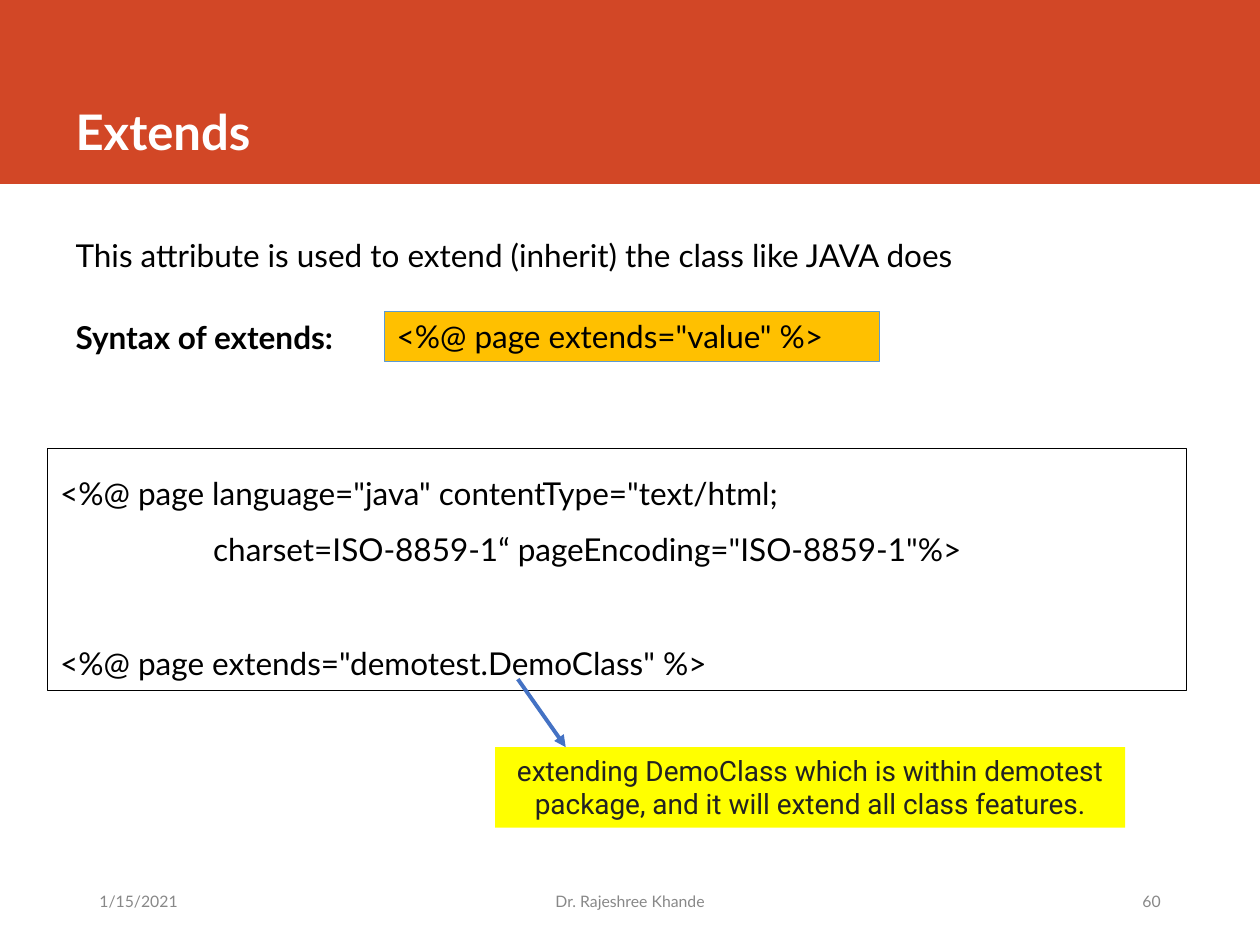
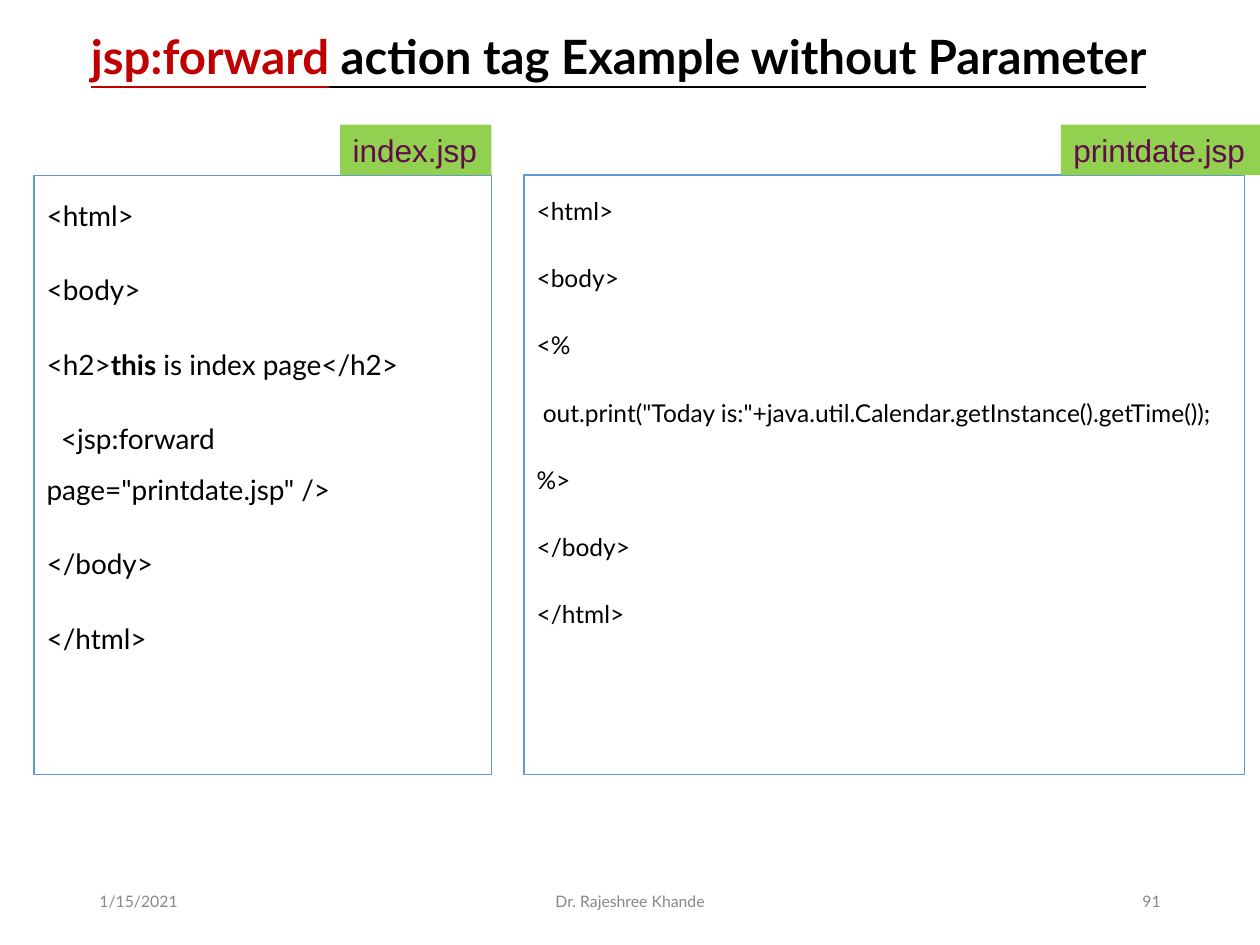
from dataclasses import dataclass

from lxml import etree
from pptx import Presentation
from pptx.dml.color import RGBColor
from pptx.enum.shapes import MSO_CONNECTOR, MSO_SHAPE
from pptx.enum.text import MSO_ANCHOR, MSO_AUTO_SIZE, PP_ALIGN
from pptx.oxml.ns import qn
from pptx.util import Inches, Pt

LEFT, CENTER, RIGHT = PP_ALIGN.LEFT, PP_ALIGN.CENTER, PP_ALIGN.RIGHT
TOP, MIDDLE, BOTTOM = MSO_ANCHOR.TOP, MSO_ANCHOR.MIDDLE, MSO_ANCHOR.BOTTOM


@dataclass(frozen=True)
class Theme:
    font: str = "Lato"
    note_font: str = "Roboto"
    tab_font: str = "Arial"
    black: str = "000000"
    white: str = "FFFFFF"
    band: str = "D24726"
    accent: str = "C00000"
    syntax_fill: str = "FFC000"
    note_fill: str = "FFFF00"
    note_text: str = "222222"
    tab_fill: str = "92D050"
    tab_text: str = "610B4B"
    frame: str = "5B9BD5"
    arrow: str = "4472C4"
    footer: str = "888888"
    band_title_size: float = 28
    title_size: float = 27
    text_size: float = 18
    code_size: float = 16
    small_code_size: float = 14
    note_size: float = 16
    footer_size: float = 9


theme = Theme()


def add_box(slide, bounds, fill=None, line=None):
    shape = slide.shapes.add_shape(MSO_SHAPE.RECTANGLE, *map(Inches, bounds))
    shape.shadow.inherit = False
    if fill:
        shape.fill.solid()
        shape.fill.fore_color.rgb = RGBColor.from_string(fill)
    else:
        shape.fill.background()
    if line:
        shape.line.color.rgb = RGBColor.from_string(line)
        shape.line.width = Pt(0.75)
    else:
        shape.line.fill.background()
    return shape


def write_text(shape, paragraphs, size, color=theme.black, font=theme.font, bold=False,
               align=LEFT, anchor=TOP, line_spacing=1.0, gap=0):
    frame = shape.text_frame
    frame.word_wrap = True
    frame.auto_size = MSO_AUTO_SIZE.NONE
    frame.vertical_anchor = anchor
    for index, runs in enumerate(paragraphs):
        paragraph = frame.add_paragraph() if index else frame.paragraphs[0]
        properties = paragraph._p.get_or_add_pPr()
        properties.set("marL", "0")
        properties.set("indent", "0")
        etree.SubElement(properties, qn("a:buNone"))
        paragraph.alignment = align
        paragraph.line_spacing = line_spacing
        paragraph.space_before = Pt(gap if index else 0)
        paragraph.font.name = font
        paragraph.font.size = Pt(size)
        paragraph.font.bold = bold
        paragraph.font.color.rgb = RGBColor.from_string(color)
        for text in [runs] if isinstance(runs, str) else runs:
            paragraph.add_run().text = text
    return frame.paragraphs


presentation = Presentation()
presentation.slide_width = Inches(10)
presentation.slide_height = Inches(7.5)
content_layout = presentation.slide_layouts[1]
extends_slide = presentation.slides.add_slide(content_layout)
forward_slide = presentation.slides.add_slide(content_layout)

placements = [
    (extends_slide, 1.32, (0.5, 1.67, 8.6, 1.74)),
    (forward_slide, 0.72, (0.27, 1.39, 3.63, 4.76)),
]
for slide, title_height, body_bounds in placements:
    title, body = slide.placeholders
    for shape, bounds in [(title, (0.5, 0, 8.82, title_height)), (body, body_bounds)]:
        shape.left, shape.top, shape.width, shape.height = map(Inches, bounds)

band = add_box(extends_slide, (0, 0, 10, 1.46), theme.band)
extends_slide.shapes._spTree.insert(2, band._element)
title, body = extends_slide.placeholders
write_text(title, ["Extends"], theme.band_title_size, theme.white, bold=True, anchor=BOTTOM)
body_paragraphs = write_text(
    body,
    ["This attribute is used to extend (inherit) the class like JAVA does", "Syntax of extends:"],
    theme.text_size, line_spacing=1.5, gap=14.4)
body_paragraphs[1].font.bold = True

example = add_box(extends_slide, (0.38, 3.56, 9.04, 1.92), line=theme.black)
example_paragraphs = write_text(
    example,
    ['<%@ page language="java" contentType="text/html;',
     '                   charset=ISO-8859-1“ pageEncoding="ISO-8859-1"%>',
     '<%@ page extends="demotest.DemoClass" %>'],
    theme.text_size, line_spacing=1.5)
example_paragraphs[2].space_before = Pt(32.4)

syntax = add_box(extends_slide, (3.05, 2.47, 3.93, 0.4), theme.syntax_fill, theme.frame)
write_text(syntax, ['<%@ page extends="value" %>'], theme.text_size)
note = add_box(extends_slide, (3.93, 5.93, 5, 0.64), theme.note_fill)
write_text(
    note,
    ["extending DemoClass which is within demotest package, and it will extend all class features."],
    theme.note_size, theme.note_text, theme.note_font, align=CENTER)

arrow = extends_slide.shapes.add_connector(
    MSO_CONNECTOR.STRAIGHT, Inches(4.11), Inches(5.39), Inches(4.49), Inches(5.93))
arrow.line.color.rgb = RGBColor.from_string(theme.arrow)
arrow.line.width = Pt(2.25)
etree.SubElement(arrow.line._get_or_add_ln(), qn("a:tailEnd"), type="triangle")
etree.SubElement(arrow._element.spPr, qn("a:effectLst"))

title, index_code = forward_slide.placeholders
title_paragraph = write_text(
    title, [["jsp:forward", " action tag Example without Parameter"]],
    theme.title_size, bold=True, align=CENTER, anchor=BOTTOM)[0]
title_paragraph.font.underline = True
title_paragraph.runs[0].font.color.rgb = RGBColor.from_string(theme.accent)

index_code.line.color.rgb = RGBColor.from_string(theme.frame)
index_code.line.width = Pt(0.75)
index_paragraphs = write_text(
    index_code,
    ["<html>", "<body>", ["<h2>", "this", " is index page</h2>"],
     '  <jsp:forward page="printdate.jsp" />', "</body>", "</html>"],
    theme.code_size, line_spacing=1.5, gap=13.8)
index_paragraphs[2].runs[1].font.bold = True

date_code = add_box(forward_slide, (4.16, 1.39, 5.72, 4.76), line=theme.frame)
write_text(
    date_code,
    ["<html>", "<body>", "<%",
     ' out.print("Today is:"+java.util.Calendar.getInstance().getTime());',
     "%>", "</body>", "</html>"],
    theme.small_code_size, line_spacing=1.5, gap=13.2)

for file_name, left, width in [("index.jsp", 2.7, 1.2), ("printdate.jsp", 8.42, 1.58)]:
    tab = add_box(forward_slide, (left, 0.99, width, 0.4), theme.tab_fill)
    write_text(tab, [file_name], theme.text_size, theme.tab_text, theme.tab_font)

for slide, number in [(extends_slide, "60"), (forward_slide, "91")]:
    footers = [
        ("1/15/2021", 0.69, 2.69, LEFT),
        ("Dr. Rajeshree Khande", 3.81, 2.38, CENTER),
        (number, 6.62, 2.69, RIGHT),
    ]
    for text, left, width, align in footers:
        footer = slide.shapes.add_textbox(Inches(left), Inches(6.95), Inches(width), Inches(0.4))
        write_text(footer, [text], theme.footer_size, theme.footer, align=align, anchor=MIDDLE)

presentation.save("out.pptx")
